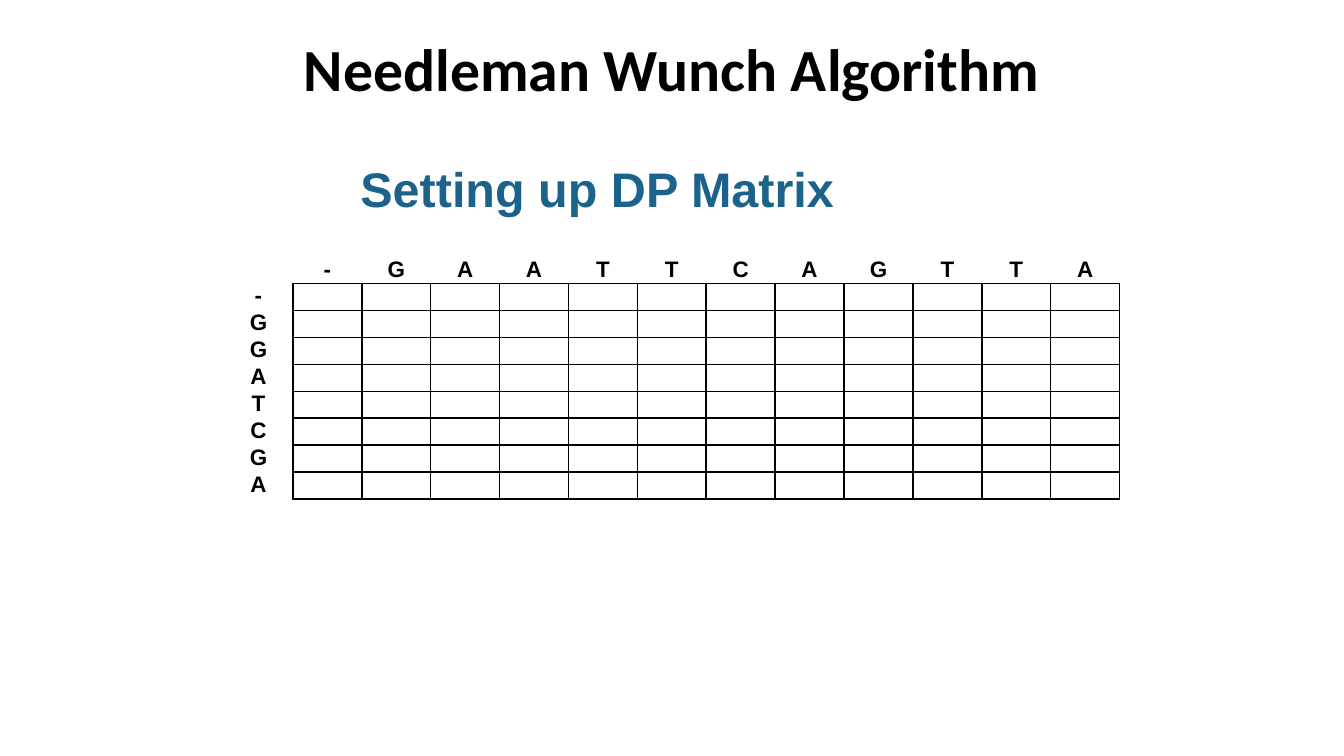
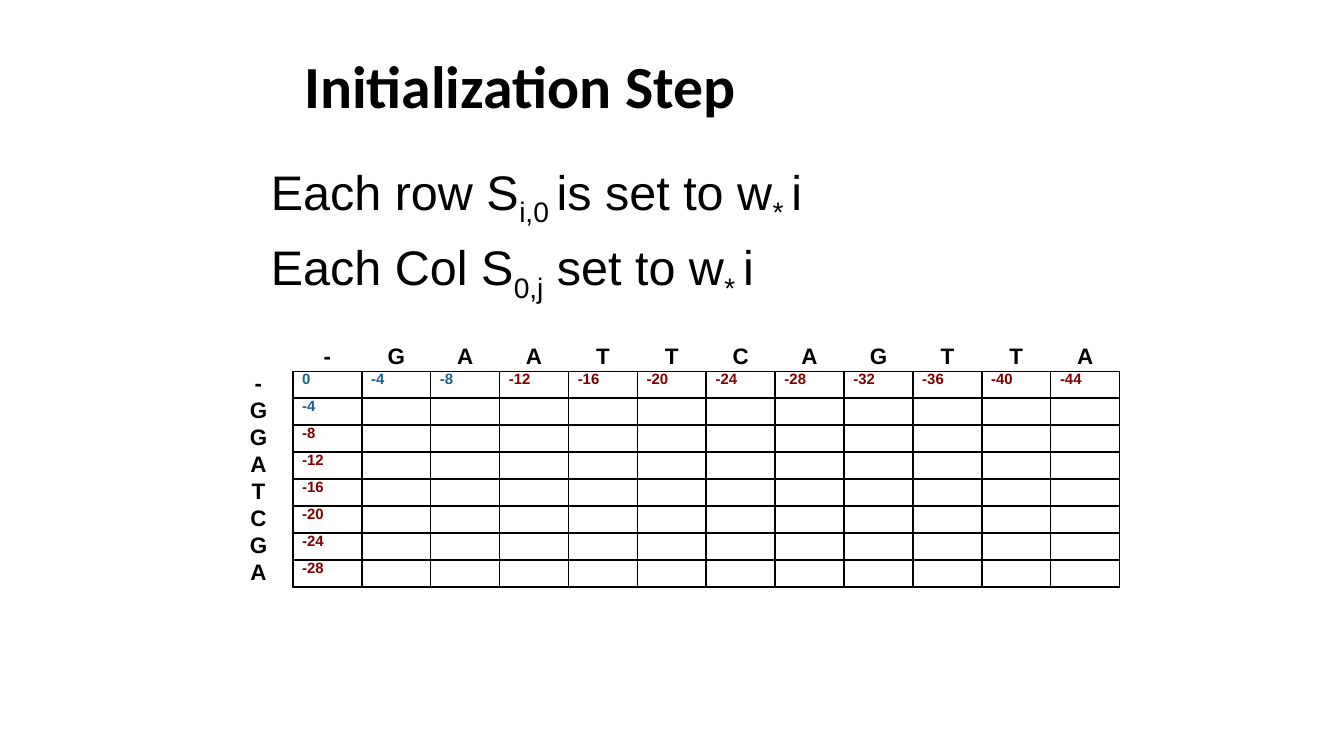
from lxml.etree import SubElement
from pptx import Presentation
from pptx.dml.color import RGBColor
from pptx.enum.text import MSO_AUTO_SIZE as AutoSize, PP_ALIGN as Align
from pptx.oxml import parse_xml
from pptx.oxml.ns import nsdecls, qn
from pptx.util import Pt

BLACK, BLUE, RED = "000000", "1C638C", "800000"
TITLE = {"name": "Calibri", "size": Pt(32), "bold": True, "color": BLACK}
HEADING = {"name": "Arial", "size": Pt(26), "bold": True, "color": BLUE}
BODY = {"name": "Arial", "size": Pt(26), "bold": False, "color": BLACK}
LABEL = {"name": "Arial", "size": Pt(12), "bold": True, "color": BLACK}
SCORE = {"name": "Arial", "size": Pt(8), "bold": True}

ACROSS = "-GAATTCAGTTA"
DOWN = "-GGATCGA"
GAP_PENALTY = -4


def rgb(value):
    return RGBColor.from_string(value)


class Deck:
    def __init__(self):
        self.presentation = Presentation()
        self.presentation.slide_width = Pt(720)
        self.presentation.slide_height = Pt(405)
        self.slide = None

    def add_slide(self):
        layout = self.presentation.slide_layouts[6]
        self.slide = self.presentation.slides.add_slide(layout)

    def add_run(self, paragraph, text, style, subscript=False):
        run = paragraph.add_run()
        run.text = text
        for name, value in style.items():
            if name == "color":
                run.font.color.rgb = rgb(value)
            else:
                setattr(run.font, name, value)
        if subscript:
            run.font._element.set("baseline", "-25000")

    def text(self, box, lines, style, align=Align.LEFT, space_before=0):
        shape = self.slide.shapes.add_textbox(*map(Pt, box))
        frame = shape.text_frame
        frame.word_wrap = True
        frame.auto_size = AutoSize.SHAPE_TO_FIT_TEXT
        for index, parts in enumerate(lines):
            paragraph = frame.add_paragraph() if index else frame.paragraphs[0]
            paragraph.alignment = align
            paragraph.space_before = Pt(space_before)
            for position, part in enumerate(parts):
                self.add_run(paragraph, part, style, subscript=position % 2 == 1)

    def borders(self, cell, sides):
        properties = cell._tc.get_or_add_tcPr()
        for index, side in enumerate("LRTB"):
            fill = "<a:noFill/>"
            if side in sides:
                fill = f'<a:solidFill><a:srgbClr val="{BLACK}"/></a:solidFill>'
            line = f'<a:ln{side} {nsdecls("a")} w="{Pt(1)}">{fill}</a:ln{side}>'
            properties.insert(index, parse_xml(line))

    def cell(self, cell, text, style, align, sides):
        margins = {"margin_left": 5, "margin_right": 5, "margin_top": 0, "margin_bottom": 0}
        for name, value in margins.items():
            setattr(cell, name, Pt(value))
        cell.fill.background()
        self.borders(cell, sides)
        paragraph = cell.text_frame.paragraphs[0]
        paragraph.alignment = align
        if text:
            self.add_run(paragraph, text, style)
        else:
            SubElement(paragraph._p, qn("a:endParaRPr"), sz="800")

    def matrix(self, top, scored=False):
        rows, columns = len(DOWN) + 1, len(ACROSS) + 1
        frame = self.slide.shapes.add_table(
            rows, columns, Pt(120), Pt(top), Pt(480), Pt(14.4 * rows))
        table = frame.table
        table.first_row = table.horz_banding = False
        for column in table.columns:
            column.width = Pt(480 / columns)
        for row in table.rows:
            row.height = Pt(14.4)

        self.cell(table.cell(0, 0), "", LABEL, Align.CENTER, "")
        for j, letter in enumerate(ACROSS):
            self.cell(table.cell(0, j + 1), letter, LABEL, Align.CENTER, "B")
        for i, letter in enumerate(DOWN):
            self.cell(table.cell(i + 1, 0), letter, LABEL, Align.CENTER, "R")
            for j in range(len(ACROSS)):
                score = str(GAP_PENALTY * (i + j)) if scored and 0 in (i, j) else ""
                style = {**SCORE, "color": BLUE if i < 2 and j < 3 else RED}
                self.cell(table.cell(i + 1, j + 1), score, style, Align.LEFT, "LRTB")


def main():
    deck = Deck()

    deck.add_slide()
    deck.text((186, 81.5, 390, 39), [["Setting up DP Matrix"]], HEADING)
    deck.matrix(137.5)
    deck.text((0, 13.5, 720, 46), [["Needleman Wunch Algorithm"]], TITLE, Align.CENTER)

    deck.add_slide()
    deck.text((156, 22.5, 390, 46), [["Initialization Step"]], TITLE)
    deck.matrix(184.5, scored=True)
    deck.text((138, 83, 360, 101.5), [
        ["Each row S", "i,0 ", "is set to w", "* ", "i"],
        ["Each Col S", "0,j", " set to w", "* ", "i"],
    ], BODY, space_before=5.2)

    deck.presentation.save("out.pptx")


if __name__ == "__main__":
    main()
